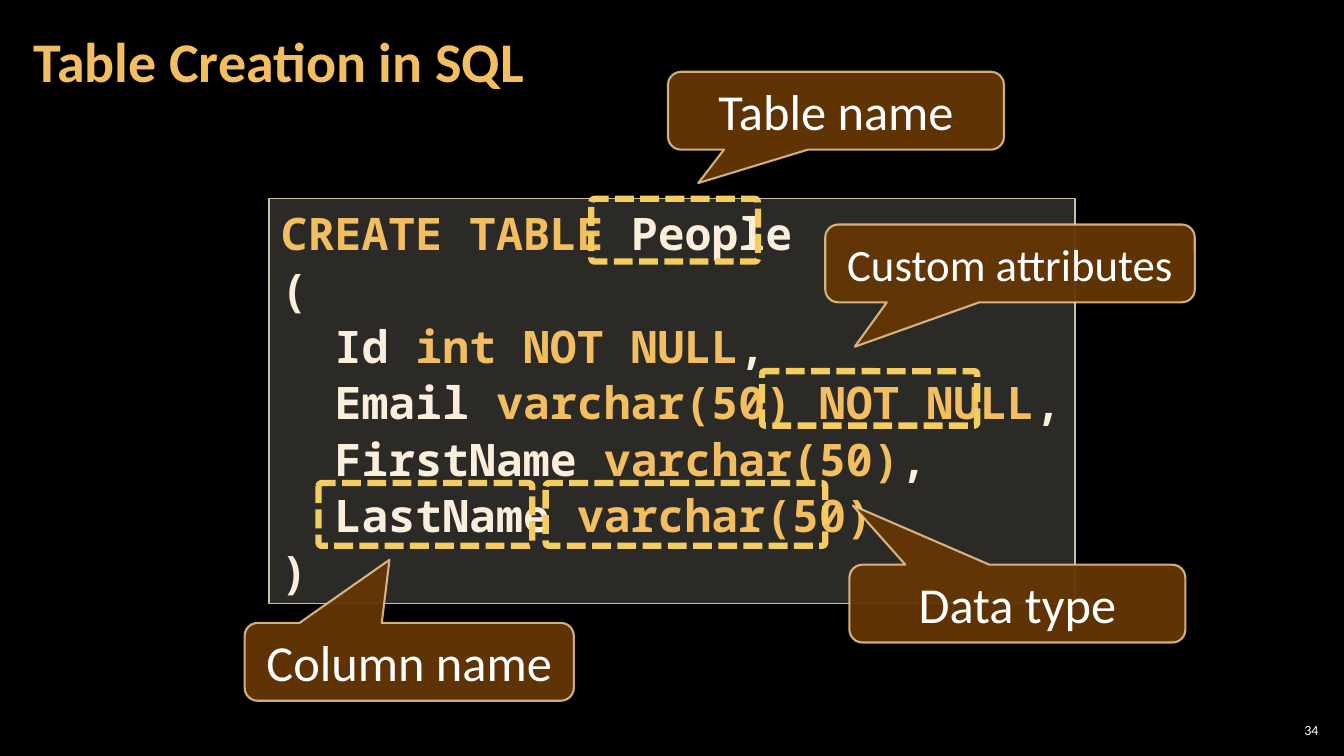
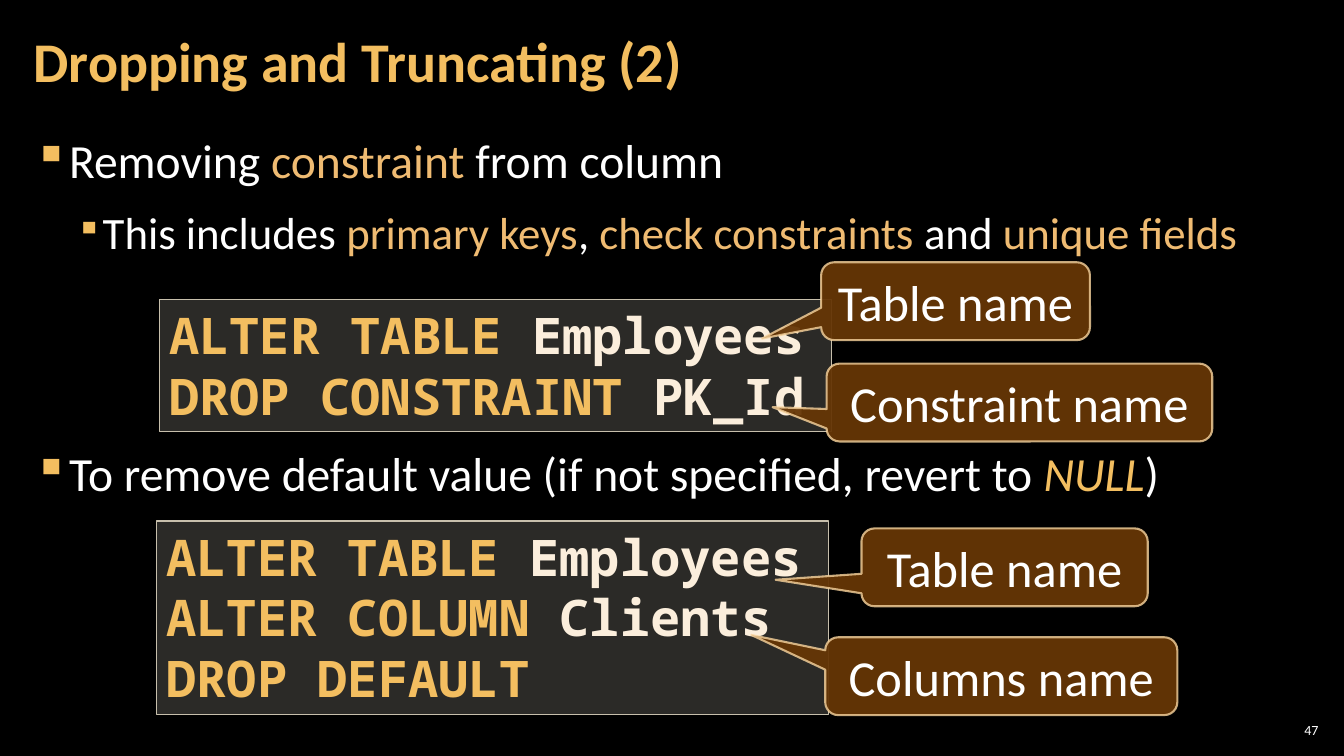
from lxml import etree
from pptx import Presentation
from pptx.dml.color import RGBColor
from pptx.enum.dml import MSO_LINE
from pptx.enum.shapes import MSO_SHAPE
from pptx.enum.text import MSO_ANCHOR, MSO_AUTO_SIZE, PP_ALIGN
from pptx.oxml.ns import qn
from pptx.util import Inches, Pt

RECTANGLE = MSO_SHAPE.RECTANGLE
ROUNDED = MSO_SHAPE.ROUNDED_RECTANGLE
CALLOUT = MSO_SHAPE.ROUNDED_RECTANGULAR_CALLOUT
DASHED = MSO_LINE.SQUARE_DOT
TOP, MIDDLE = MSO_ANCHOR.TOP, MSO_ANCHOR.MIDDLE
LEFT, CENTER, RIGHT = PP_ALIGN.LEFT, PP_ALIGN.CENTER, PP_ALIGN.RIGHT

WIDTH, HEIGHT = Inches(13.33), Inches(7.5)
TITLE_ONLY = 5

BODY_FONT, CODE_FONT = "Calibri", "Noto Sans Mono"
BLACK, WHITE = "000000", "FFFFFF"
GOLD, SOFT_GOLD, CREAM = "F3BE60", "EFBB72", "FBEEDC"
CODE_FILL, CODE_EDGE = "D9D5C7", "C7BFAC"
CALLOUT_FILL, CALLOUT_EDGE = "663606", "F8D49E"
MARK_EDGE = "F3CD60"
CALLOUT_HEIGHT = 10.3


def color(value):
    return RGBColor.from_string(value)


def area(left, top, width, height):
    """Turn percentages of the slide's size into lengths."""
    return [int(side * share / 100) for side, share in
            zip((WIDTH, HEIGHT, WIDTH, HEIGHT), (left, top, width, height))]


def set_opacity(shape, part, percent):
    for tone in shape.element.spPr.xpath(part + "/a:srgbClr"):
        etree.SubElement(tone, qn("a:alpha"), val=str(percent * 1000))


def set_frame(frame, anchor, side=0.1, edge=0.05):
    frame.word_wrap = True
    frame.auto_size = MSO_AUTO_SIZE.NONE
    frame.vertical_anchor = anchor
    frame.margin_left = frame.margin_right = Inches(side)
    frame.margin_top = frame.margin_bottom = Inches(edge)


def style(para, size, tone=None, font=BODY_FONT, bold=False, align=LEFT):
    para.alignment = align
    para.font.name, para.font.size, para.font.bold = font, Pt(size), bold
    if tone:
        para.font.color.rgb = color(tone)


def add_spans(para, text, plain, accent, italic=False):
    """Write text whose *starred* parts take the accent colour."""
    for index, part in enumerate(text.split("*")):
        if part:
            span = para.add_run()
            span.text = part
            span.font.color.rgb = color(accent if index % 2 else plain)
            if index % 2 and italic:
                span.font.italic = True


def paragraphs(frame, count):
    return [frame.paragraphs[0]] + [frame.add_paragraph() for _ in range(count - 1)]


def add_box(page, kind, place, edge, weight, fill=None, opacity=100):
    box = page.shapes.add_shape(kind, *area(*place))
    box.shadow.inherit = False
    if fill:
        box.fill.solid()
        box.fill.fore_color.rgb = color(fill)
        set_opacity(box, "./a:solidFill", opacity)
    else:
        box.fill.background()
    box.line.color.rgb = color(edge)
    box.line.width = Pt(weight)
    return box


# Title, page number and background
def add_page(deck, title, number):
    page = deck.slides.add_slide(deck.slide_layouts[TITLE_ONLY])
    heading = page.shapes.title
    heading.left, heading.top, heading.width, heading.height = area(1.6, 0.5, 78.5, 16.1)
    set_frame(heading.text_frame, MIDDLE, 0.12, 0.04)
    para = heading.text_frame.paragraphs[0]
    para.text, para.line_spacing = title, 0.9
    style(para, 40, GOLD, bold=True)

    corner = page.shapes.add_textbox(*area(94.9, 95.2, 3.5, 2.8))
    set_frame(corner.text_frame, MIDDLE, 0.04, 0.04)
    para = corner.text_frame.paragraphs[0]
    para.text = number
    style(para, 10, WHITE, align=RIGHT)
    return page


# Content elements
def add_code(page, place, lines, size, spacing=1.0, margins=(0.1, 0.05)):
    box = add_box(page, RECTANGLE, place, CODE_EDGE, 1, CODE_FILL, 20)
    set_frame(box.text_frame, TOP, *margins)
    for para, line in zip(paragraphs(box.text_frame, len(lines)), lines):
        style(para, size, font=CODE_FONT, bold=True)
        para.line_spacing = spacing
        add_spans(para, line, CREAM, GOLD)


def add_mark(page, *place):
    box = add_box(page, ROUNDED, place, MARK_EDGE, 4.5)
    box.adjustments[0] = 0.05
    box.line.dash_style = DASHED


def add_callout(page, text, left, top, width, tip, size=36):
    place = (left, top, width, CALLOUT_HEIGHT)
    box = add_box(page, CALLOUT, place, CALLOUT_EDGE, 1.5, CALLOUT_FILL, 95)
    set_opacity(box, "./a:ln/a:solidFill", 80)
    box.adjustments[0], box.adjustments[1] = tip
    set_frame(box.text_frame, MIDDLE)
    para = box.text_frame.paragraphs[0]
    para.text = text
    style(para, size, WHITE, align=CENTER)


def add_bullet(para, level, text, before=6, accent=SOFT_GOLD, italic=False):
    size, indent, hang, bullet_size = ((34, 0.33, 0.33, 100), (32, 0.67, 0.25, 80))[level]
    style(para, size)
    para.level = level
    para.space_before, para.space_after = Pt(before), Pt(6)
    add_spans(para, text, WHITE, accent, italic)
    props = para._p.get_or_add_pPr()
    props.set("marL", str(Inches(indent)))
    props.set("indent", str(-Inches(hang)))
    tone = etree.SubElement(props, qn("a:buClr"))
    etree.SubElement(tone, qn("a:srgbClr"), val=GOLD)
    etree.SubElement(props, qn("a:buSzPct"), val=str(bullet_size * 1000))
    etree.SubElement(props, qn("a:buChar"), char="▪")


# Slides
def build_creation(deck):
    page = add_page(deck, "Table Creation in SQL", "34")
    add_code(page, (20, 26.3, 60, 53.5), [
        "*CREATE TABLE *People",
        "(",
        "  Id *int NOT NULL*,",
        "  Email *varchar(50) NOT NULL*,",
        "  FirstName *varchar(50)*,",
        "  LastName *varchar(50)*",
        ")",
    ], 32, 1.05, (0.12, 0.04))
    add_mark(page, 23.7, 63.9, 15.9, 8.3)
    add_callout(page, "Custom attributes", 61.4, 29.7, 27.5, (-0.42, 1.07), 32)
    add_callout(page, "Data type", 63.2, 74.7, 25, (-0.49, -1.26))
    add_callout(page, "Column name", 18.2, 82.4, 24.5, (-0.06, -1.31))
    add_mark(page, 40.6, 63.9, 20.8, 8.3)
    add_mark(page, 56.7, 49.1, 16, 7.2)
    add_mark(page, 44, 26.3, 12.4, 8.3)
    add_callout(page, "Table name", 49.7, 9.5, 25, (-0.41, 0.93))


def build_dropping(deck):
    page = add_page(deck, "Dropping and Truncating (2)", "47")
    body = page.shapes.add_textbox(*area(1.6, 16.8, 96.8, 81.2))
    set_frame(body.text_frame, TOP, 0.12, 0.04)
    first, detail, last = paragraphs(body.text_frame, 3)
    add_bullet(first, 0, "Removing *constraint *from column")
    add_bullet(detail, 1, "This includes *primary keys*, *check constraints *and *unique fields*")
    add_bullet(last, 0, "To remove default value (if not specified, revert to *NULL*)",
               before=126, accent=GOLD, italic=True)

    add_code(page, (11.85, 39.6, 50, 17.5),
             ["*ALTER TABLE *Employees", "*DROP CONSTRAINT *PK_Id"], 36)
    add_code(page, (11.65, 68.9, 50, 25.6),
             ["*ALTER TABLE *Employees", "*ALTER COLUMN *Clients", "*DROP DEFAULT*"], 36)
    add_callout(page, "Table name", 61.1, 34.7, 20, (-0.72, 0.48))
    add_callout(page, "Constraint name", 61.5, 48.1, 28.7, (-0.64, 0.06))
    add_callout(page, "Table name", 64.1, 69.9, 21.3, (-0.8, 0.16))
    add_callout(page, "Columns name", 61.4, 84.3, 26.2, (-0.71, -0.53))


def main():
    deck = Presentation()
    deck.slide_width, deck.slide_height = WIDTH, HEIGHT
    backdrop = deck.slide_master.background.fill
    backdrop.solid()
    backdrop.fore_color.rgb = color(BLACK)
    build_creation(deck)
    build_dropping(deck)
    deck.save("out.pptx")


if __name__ == "__main__":
    main()
